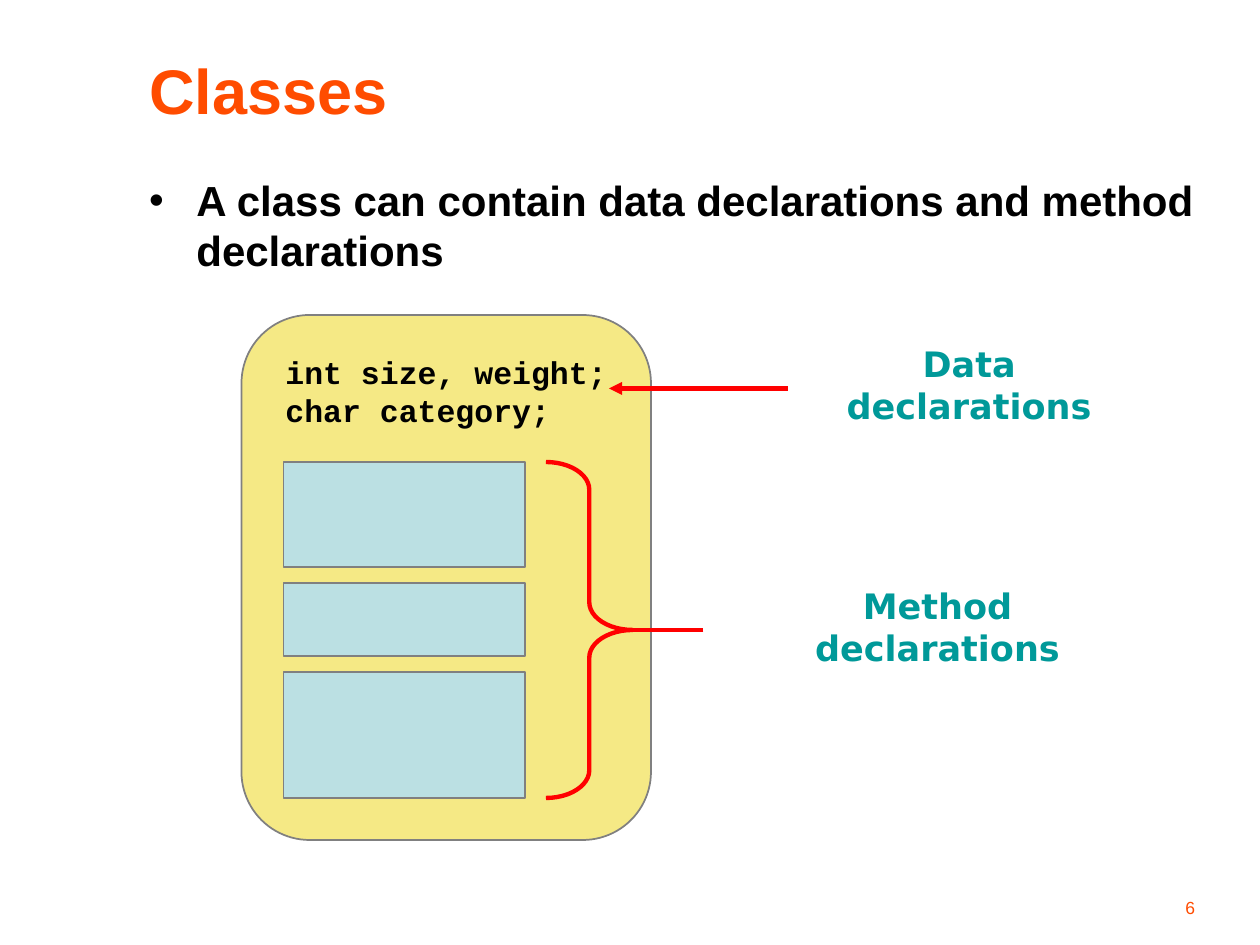
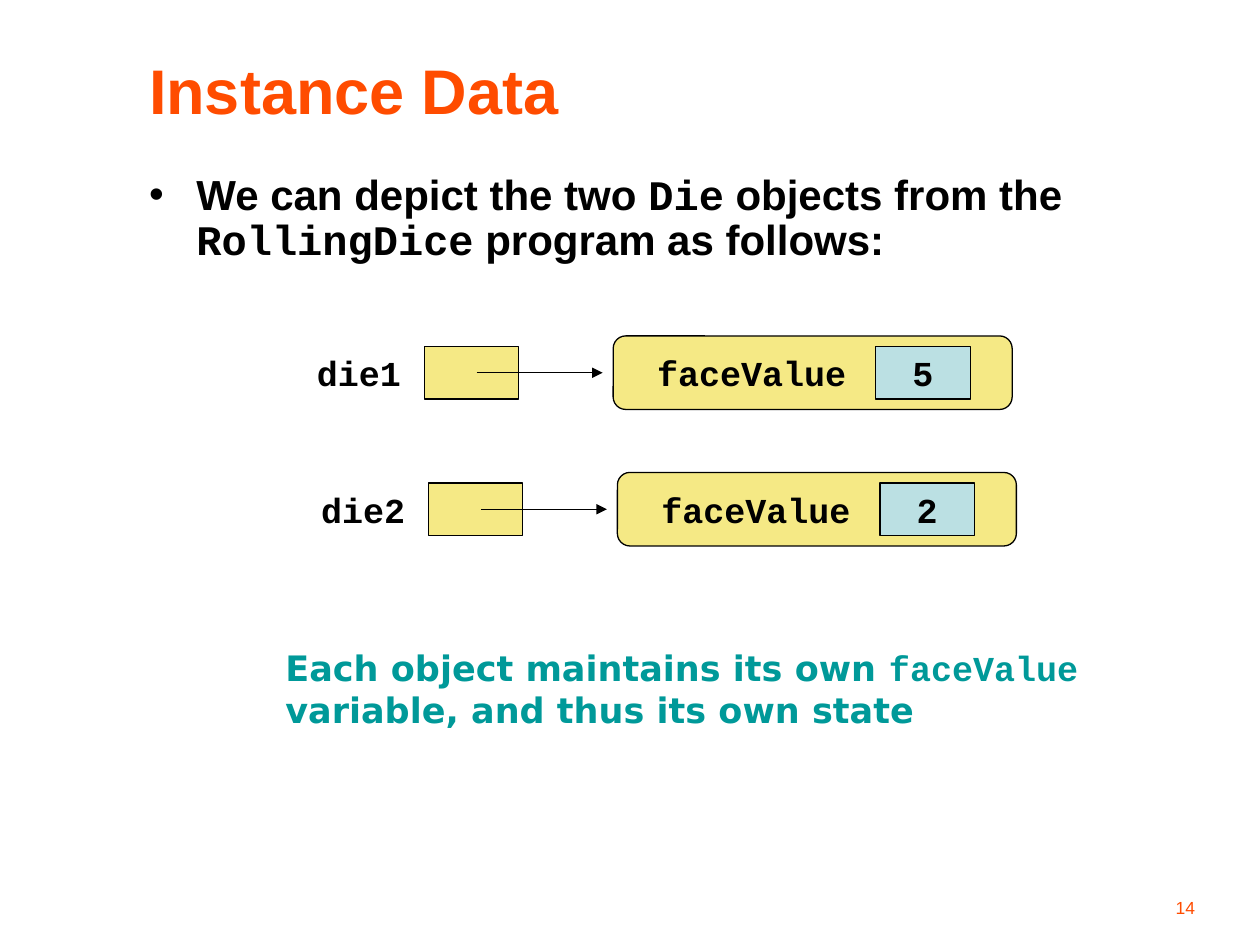
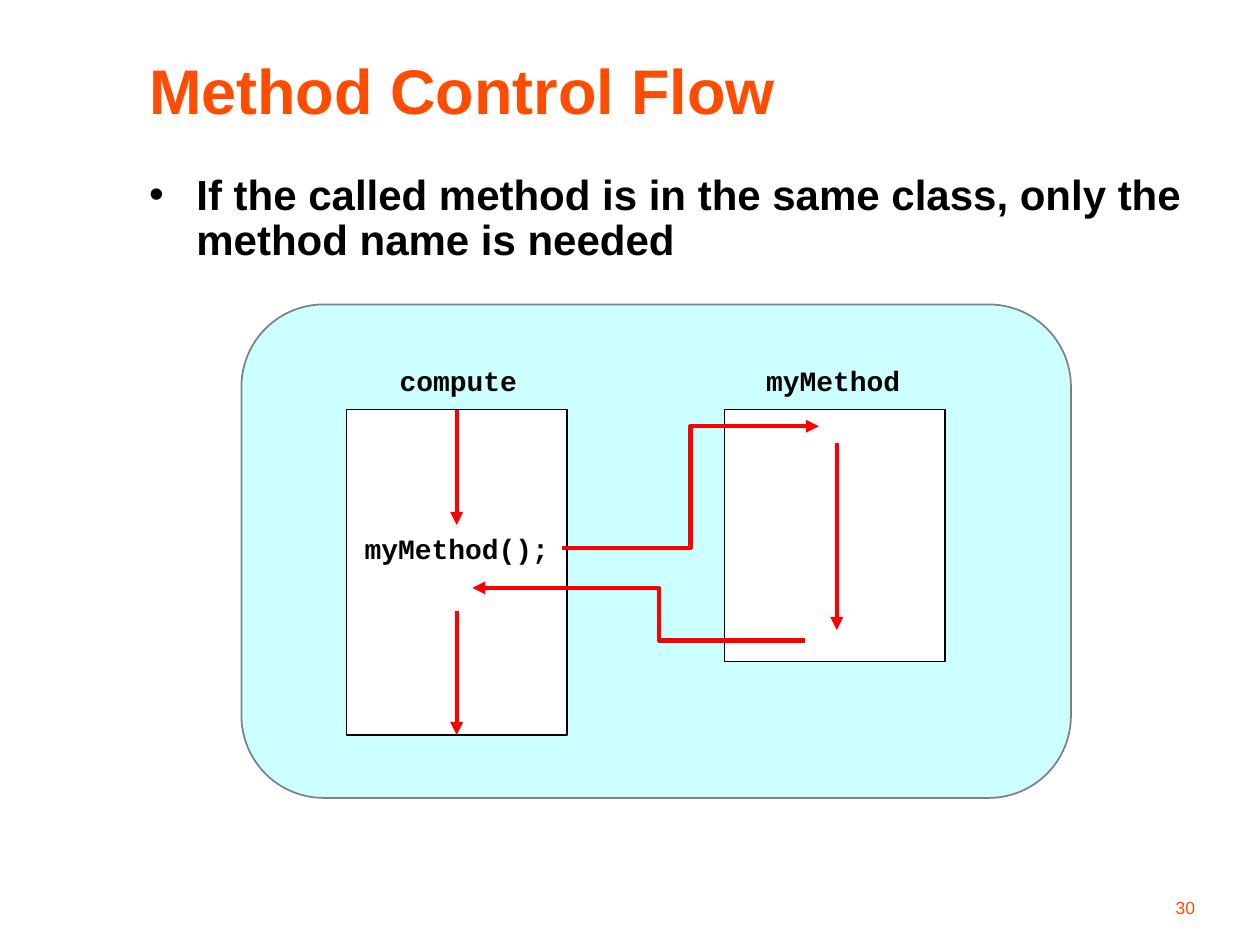
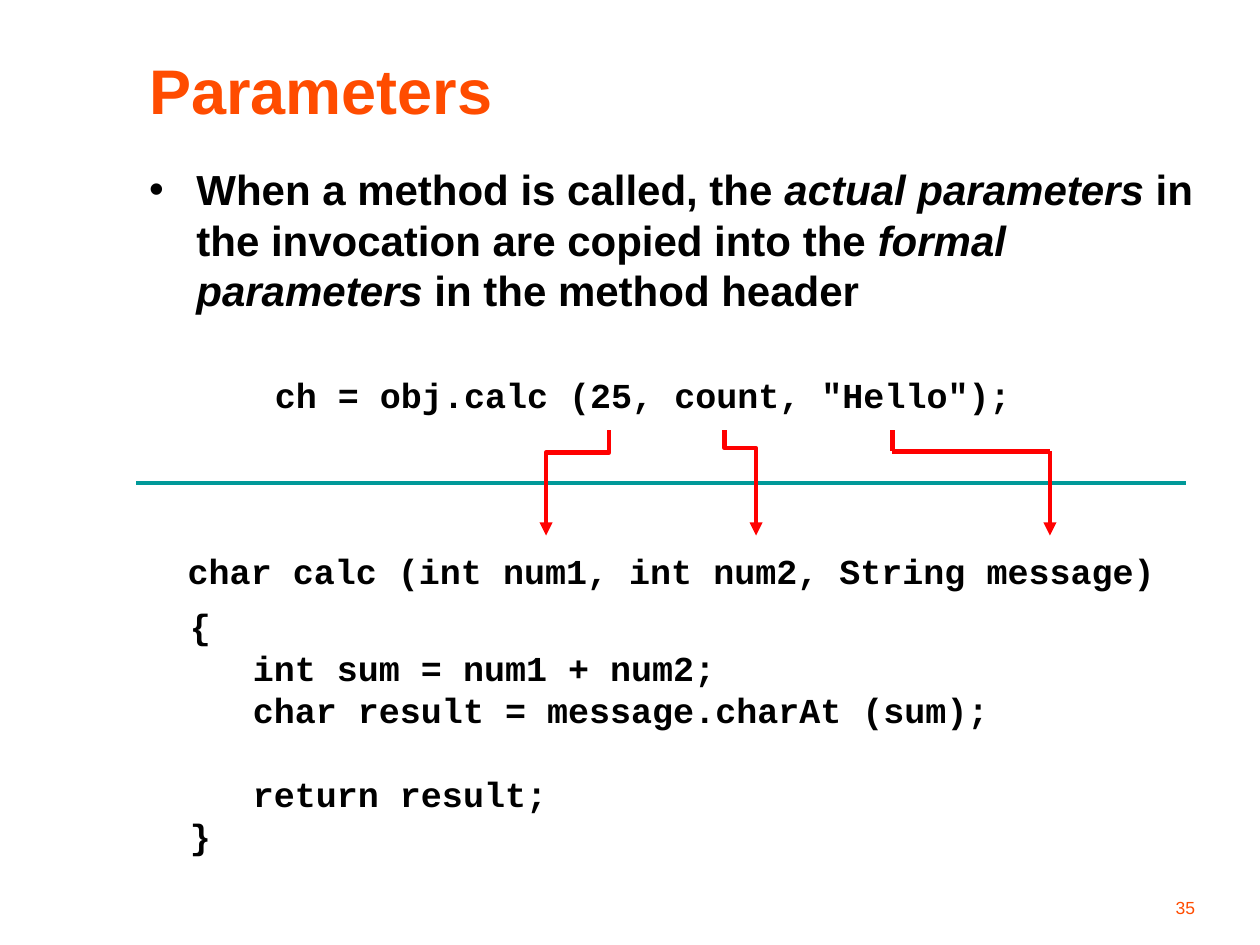
import dataclasses

import lxml.etree
import pptx
import pptx.dml.color
import pptx.enum.shapes
import pptx.enum.text
import pptx.oxml.ns
import pptx.util

SHAPE = pptx.enum.shapes.MSO_SHAPE
LINK = pptx.enum.shapes.MSO_CONNECTOR
ALIGN = pptx.enum.text.PP_ALIGN
ANCHOR = pptx.enum.text.MSO_ANCHOR
qn = pptx.oxml.ns.qn


@dataclasses.dataclass(frozen=True)
class Theme:
    # Colours
    title: str = "FF4C00"
    ink: str = "000000"
    note: str = "009999"
    red: str = "FF0000"
    gray: str = "808080"
    sand: str = "F5E985"
    blue: str = "BBE0E3"
    pale: str = "CCFFFF"
    white: str = "FFFFFF"
    # Fonts
    sans: str = "Arial"
    mono: str = "Courier New"
    wide: str = "DejaVu Sans"
    # Type sizes and line widths, in points
    head: int = 36
    list: int = 24
    code: int = 20
    decl: int = 18
    small: int = 16
    foot: int = 10
    thin: float = 0.75
    edge: float = 1
    bold: float = 2.5


def rgb(code):
    return pptx.dml.color.RGBColor.from_string(code)


class Deck:
    """Draws on a grid of 120 columns by 90 rows."""

    COLS, ROWS = 120, 90

    def __init__(self, theme):
        self.theme = theme
        self.prs = pptx.Presentation()
        self.prs.slide_width = pptx.util.Inches(10)
        self.prs.slide_height = pptx.util.Inches(7.5)
        self.slide = None

    def x(self, cols):
        return round(self.prs.slide_width * cols / self.COLS)

    def y(self, rows):
        return round(self.prs.slide_height * rows / self.ROWS)

    def area(self, box):
        left, top, width, height = box
        return self.x(left), self.y(top), self.x(width), self.y(height)

    # Text
    def style(self, run, font, size, color, bold=True, italic=None):
        run.font.name, run.font.size = font, pptx.util.Pt(size)
        run.font.bold, run.font.italic = bold, italic
        run.font.color.rgb = rgb(color)

    def rich(self, para, text, font, size, color, alt=None):
        """Bars part the text; every second part is in the alt font, or italic."""
        for i, part in enumerate(text.split("|")):
            run = para.add_run()
            run.text = part
            odd = i % 2 == 1
            self.style(run, alt if odd and alt else font, size, color,
                       italic=True if odd and not alt else None)

    def indent(self, para, left, first=0):
        props = para._p.get_or_add_pPr()
        props.set("marL", str(self.x(left)))
        props.set("indent", str(self.x(first)))
        return props

    def frame(self, shape, anchor, wrap=True):
        frame = shape.text_frame
        frame.auto_size = pptx.enum.text.MSO_AUTO_SIZE.NONE
        frame.vertical_anchor, frame.word_wrap = anchor, wrap
        return frame

    def text(self, box, words, font, size, color=None, align=ALIGN.LEFT,
             anchor=ANCHOR.TOP, wrap=False, bold=True):
        shape = self.slide.shapes.add_textbox(*self.area(box))
        frame = self.frame(shape, anchor, wrap)
        frame.text = words
        for para in frame.paragraphs:
            para.alignment = align
            for run in para.runs:
                self.style(run, font, size, color or self.theme.ink, bold)
        return frame

    def code(self, box, words, size=None, **more):
        return self.text(box, words, self.theme.mono, size or self.theme.code, **more)

    def note(self, box, words):
        t = self.theme
        self.text(box, words, t.wide, t.code, t.note, ALIGN.CENTER, ANCHOR.MIDDLE, True)

    # Slide with title, bullet and page number
    def page(self, number, title, point, box=(13, 16, 104, 16), space=None):
        t = self.theme
        self.slide = self.prs.slides.add_slide(self.prs.slide_layouts[1])
        head, body = self.slide.placeholders

        head.left, head.top, head.width, head.height = self.area((13, 4, 104, 9))
        frame = self.frame(head, ANCHOR.MIDDLE)
        frame.text = title
        frame.paragraphs[0].alignment = ALIGN.LEFT
        self.style(frame.paragraphs[0].runs[0], t.sans, t.head, t.title)

        body.left, body.top, body.width, body.height = self.area(box)
        para = self.frame(body, ANCHOR.TOP).paragraphs[0]
        self.rich(para, point, t.sans, t.list, t.ink, t.mono if "Die" in point else None)
        para.space_before, para.line_spacing = pptx.util.Pt(6), space
        props = self.indent(para, 4.5, -4.5)
        tint = lxml.etree.SubElement(props, qn("a:buClr"))
        lxml.etree.SubElement(tint, qn("a:srgbClr")).set("val", t.ink)
        lxml.etree.SubElement(props, qn("a:buChar")).set("char", "•")

        self.text((90, 83, 25, 5), str(number), t.sans, t.foot, t.title,
                  ALIGN.RIGHT, ANCHOR.BOTTOM, True, False)

    # Shapes
    def shape(self, kind, box, fill, line, width, words=""):
        shape = self.slide.shapes.add_shape(kind, *self.area(box))
        shape.shadow.inherit = False
        if fill:
            shape.fill.solid()
            shape.fill.fore_color.rgb = rgb(fill)
        else:
            shape.fill.background()
        shape.line.color.rgb = rgb(line)
        shape.line.width = pptx.util.Pt(width)
        if words:
            frame = self.frame(shape, ANCHOR.MIDDLE, False)
            frame.text = words
            frame.paragraphs[0].alignment = ALIGN.CENTER
            self.style(frame.paragraphs[0].runs[0], self.theme.mono,
                       self.theme.code, self.theme.ink)
        return shape

    # Lines and arrows
    def line(self, start, end, color=None, width=None, arrow=True, kind=LINK.STRAIGHT):
        link = self.slide.shapes.add_connector(
            kind, self.x(start[0]), self.y(start[1]), self.x(end[0]), self.y(end[1]))
        link.line.color.rgb = rgb(color or self.theme.red)
        link.line.width = pptx.util.Pt(width or self.theme.bold)
        props = link._element.spPr
        if arrow:
            tip = lxml.etree.SubElement(props.find(qn("a:ln")), qn("a:tailEnd"))
            tip.set("type", "triangle")
        lxml.etree.SubElement(props, qn("a:effectLst"))
        return props

    def bend(self, start, end, share, down=False):
        """Elbow arrow that turns at a share of its way; down leaves vertically."""
        turn = 0
        if down:
            # A quarter turn about the middle swaps width and height
            (ax, ay), (bx, by) = start, end
            mx, my = (ax + bx) / 2, (ay + by) / 2
            side = 1 if bx < ax else -1
            turn = 90 if side == 1 else 270
            half, rise = side * (by - ay) / 2, abs(bx - ax) / 2
            start, end = (mx - half, my - rise), (mx + half, my + rise)
        props = self.line(start, end, kind=LINK.ELBOW)
        if turn:
            props.find(qn("a:xfrm")).set("rot", str(turn * 60000))
        geom = props.find(qn("a:prstGeom"))
        guides = geom.find(qn("a:avLst"))
        if guides is None:
            guides = lxml.etree.SubElement(geom, qn("a:avLst"))
        guide = lxml.etree.SubElement(guides, qn("a:gd"))
        guide.set("name", "adj1")
        guide.set("fmla", f"val {round(share * 100000)}")


def classes(deck):
    t = deck.theme
    deck.page(6, "Classes",
              "A class can contain data declarations and method declarations",
              (13, 16, 104, 65))
    # Class with its methods
    deck.shape(SHAPE.FLOWCHART_ALTERNATE_PROCESS, (23, 30, 39, 50), t.sand, t.gray, t.edge)
    for top, height in ((44, 10), (55.5, 7), (64, 12)):
        deck.shape(SHAPE.RECTANGLE, (27, top, 23, height), t.blue, t.gray, t.edge)
    deck.code((26, 33, 33, 8.4), "int size, weight;\nchar category;", t.decl,
              anchor=ANCHOR.MIDDLE)
    # Labels
    deck.note((76.3, 34, 32, 5.3), "Data declarations")
    deck.note((70.8, 57, 37, 5.3), "Method declarations")
    deck.line((75, 37), (58, 37))
    brace = deck.shape(SHAPE.RIGHT_BRACE, (52, 44, 8.25, 32), None, t.red, t.bold)
    brace.adjustments[0] = 0.32
    deck.line((67, 60), (60.25, 60), arrow=False)


def data(deck):
    t = deck.theme
    deck.page(14, "Instance Data",
              "We can depict the two |Die| objects from the |RollingDice| program as follows:",
              space=0.9)
    # One variable and its object in each row
    for i, value in enumerate("52"):
        left, top = 29 + 0.4 * i, 32 + 13 * i
        deck.shape(SHAPE.RECTANGLE, (left + 11.4, top + 1, 9, 5), t.sand, t.ink, t.thin)
        deck.code((left, top + 0.9, 10.4, 5.3), f"die{i + 1}")
        item = deck.shape(SHAPE.ROUNDED_RECTANGLE, (left + 29.4, top, 38, 7),
                          t.sand, t.ink, t.thin)
        item.adjustments[0] = 0.17
        deck.line((left + 16.4, top + 3.5), (left + 28.4, top + 3.5), t.ink, t.thin)
        deck.shape(SHAPE.RECTANGLE, (left + 54.4, top + 1, 9, 5),
                   t.blue, t.ink, t.thin, value)
        deck.code((left + 32.4, top + 0.9, 20.4, 5.3), "faceValue")
    # Remark
    frame = deck.text((26, 61, 86, 9.2), "", t.wide, t.code, wrap=True)
    deck.rich(frame.paragraphs[0],
              "Each object maintains its own |faceValue| variable, and thus its own state",
              t.wide, t.code, t.note, t.mono)


def flow(deck):
    t = deck.theme
    deck.page(30, "Method Control Flow",
              "If the called method is in the same class, only the method name is needed",
              (13, 16, 105, 10.3), 0.9)
    # Class with two methods
    deck.shape(SHAPE.FLOWCHART_ALTERNATE_PROCESS, (23, 29, 79, 47), t.pale, t.gray, t.edge)
    for left, height in ((33, 31), (69, 24)):
        deck.shape(SHAPE.RECTANGLE, (left, 39, 21, height), t.white, t.ink, t.edge)
    for left, top, width, words in ((33.5, 50, 20, "myMethod();"),
                                    (71.8, 34, 15.1, "myMethod"),
                                    (36.9, 34, 13.5, "compute")):
        deck.code((left, top, width, 4.4), words, t.small,
                  align=ALIGN.CENTER, anchor=ANCHOR.MIDDLE)
    # Order of the calls
    for col, top, end in ((43.5, 39, 50), (43.5, 58.2, 70), (79.7, 42.2, 60)):
        deck.line((col, top), (col, end))
    deck.bend((53.5, 52.2), (78, 40.6), 0.5)
    deck.bend((76.7, 61), (45, 56), 0.44)


def params(deck):
    t = deck.theme
    deck.page(35, "Parameters",
              "When a method is called, the |actual parameters| in the invocation "
              "are copied into the |formal parameters| in the method header",
              (13, 15, 104, 16))
    # Method
    deck.code((16.7, 51.7, 94.6, 5.3), "char calc (int num1, int num2, String message)")
    body = deck.code((16.9, 57, 78.5, 25.2),
                     "{\nint sum = num1 + num2;\nchar result = message.charAt (sum);\n"
                     "return result;\n}")
    for para in body.paragraphs[1:-1]:
        deck.indent(para, 6)
    body.paragraphs[3].space_before = pptx.util.Pt(24)
    # Call
    deck.code((25, 35, 72.5, 5.3), 'ch = obj.calc (25, count, "Hello");')
    deck.line((13, 46), (113, 46), t.note, arrow=False)
    # Each value goes to its parameter
    deck.bend((58, 41), (52, 51), 0.21, True)
    deck.bend((69, 41), (72, 51), 0.17, True)
    deck.line((85, 41), (85, 43), arrow=False)
    deck.line((100, 43), (85, 43), arrow=False)
    deck.line((100, 43), (100, 51))


def main():
    deck = Deck(Theme())
    for draw in (classes, data, flow, params):
        draw(deck)
    deck.prs.save("out.pptx")


if __name__ == "__main__":
    main()
